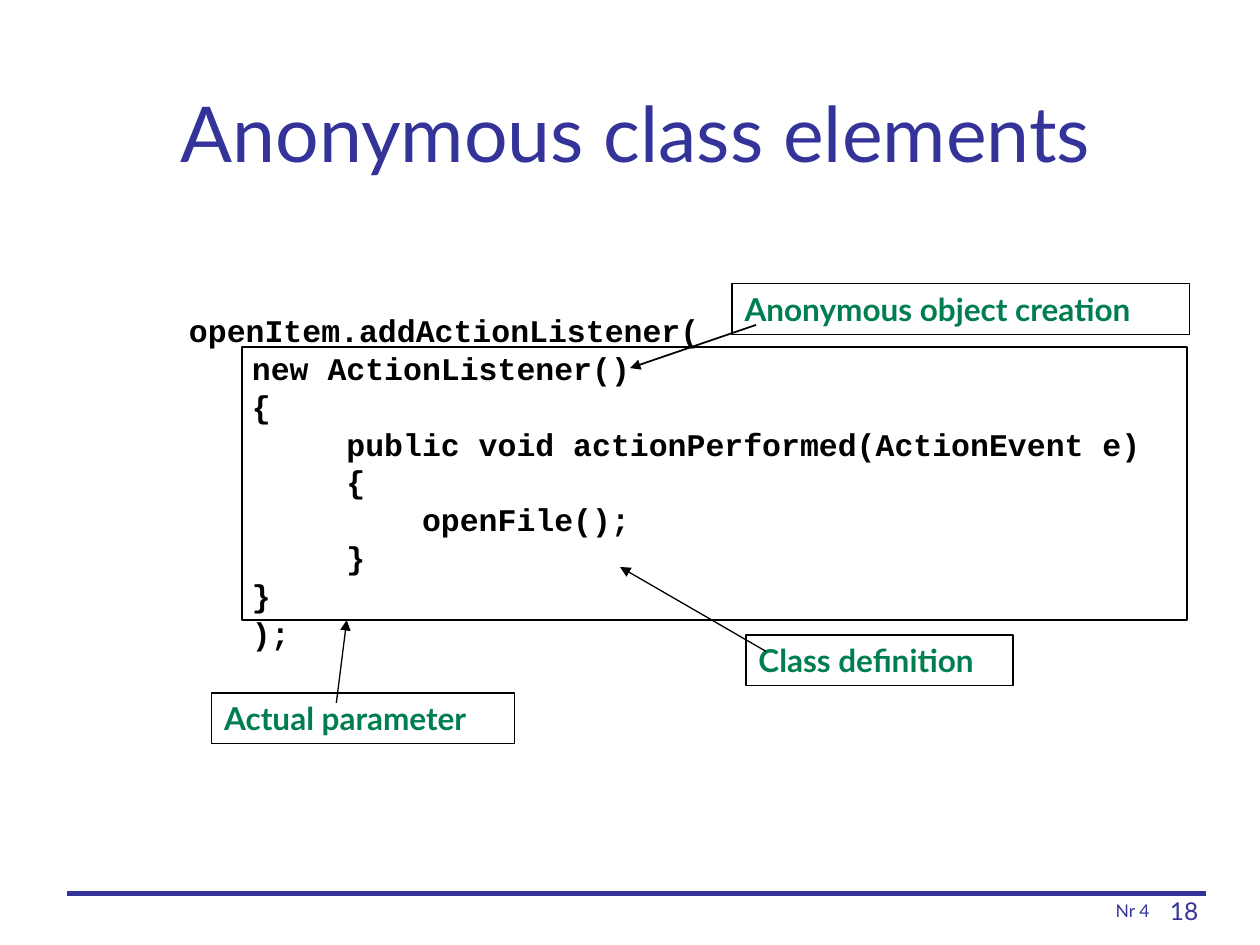
import pptx
import pptx.util
import pptx.dml.color
import pptx.enum.shapes
import pptx.enum.text
import pptx.oxml
import pptx.oxml.ns

Cm, Pt = pptx.util.Cm, pptx.util.Pt
ALIGN = pptx.enum.text.PP_ALIGN
ANCHOR = pptx.enum.text.MSO_ANCHOR
RECT = pptx.enum.shapes.MSO_SHAPE.RECTANGLE
COLORS = {"navy": "333399", "green": "007E4F", "black": "000000"}
CHAR_WIDTH = 0.381  # one Courier New character at 18 pt, in cm

# (indent in characters, text)
CODE = [
    (0, "openItem.addActionListener("),
    (3.33, "new ActionListener()"),
    (3.33, "{"),
    (8.33, "public void actionPerformed(ActionEvent e)"),
    (8.33, "{"),
    (12.33, "openFile();"),
    (8.33, "}"),
    (3.33, "}"),
    (3.33, ");"),
]

# text, box, arrow start relative to box, arrow end relative to box, arrow width
CALLOUTS = [
    ("Anonymous object creation", (14.76, 5.72, 9.22, 1.02), (0.48, 0.83), (-2.06, 1.7), 1),
    ("Actual parameter", (4.27, 13.97, 6.1, 1.02), (2.51, 0.2), (2.72, -1.47), 0.75),
    ("Class definition", (15.04, 12.8, 5.38, 1.02), (0.4, 0.33), (-2.54, -1.37), 0.75),
]


def rgb(name):
    return pptx.dml.color.RGBColor.from_string(COLORS[name])


def format_runs(p, font, size, color, bold=False, align=ALIGN.LEFT):
    p.alignment = align
    for r in p.runs:
        r.font.name, r.font.size, r.font.bold = font, Pt(size), bold
        r.font.color.rgb = rgb(color)


def add_text(s, box, text, anchor=ANCHOR.TOP, **style):
    tf = s.shapes.add_textbox(*map(Cm, box)).text_frame
    tf.word_wrap = True
    tf.vertical_anchor = anchor
    tf.text = text
    format_runs(tf.paragraphs[0], **style)


def add_frame(s, box, width):
    """Add an unfilled rectangle with a black outline."""
    sp = s.shapes.add_shape(RECT, *map(Cm, box))
    sp.shadow.inherit = False
    sp.fill.background()
    sp.line.color.rgb = rgb("black")
    sp.line.width = Pt(width)
    return sp


def add_line(s, start, end, color, width, arrow=False):
    straight = pptx.enum.shapes.MSO_CONNECTOR.STRAIGHT
    line = s.shapes.add_connector(straight, *map(Cm, (*start, *end)))
    line.line.color.rgb = rgb(color)
    line.line.width = Pt(width)
    if arrow:
        ln = line.line._get_or_add_ln()
        ln.append(pptx.oxml.parse_xml(
            f'<a:tailEnd {pptx.oxml.ns.nsdecls("a")} type="triangle"/>'))
    line._element.spPr.append(pptx.oxml.parse_xml(
        f'<a:effectLst {pptx.oxml.ns.nsdecls("a")}/>'))


def set_title(s, box, text):
    sp = s.shapes.title
    sp.left, sp.top, sp.width, sp.height = map(Cm, box)
    tf = sp.text_frame
    tf.text = text
    tf.vertical_anchor = ANCHOR.MIDDLE
    format_runs(tf.paragraphs[0], "Lato", 44, "navy", align=ALIGN.CENTER)


def add_code(s, box):
    """Add the listing and the frame around the anonymous class."""
    tf = s.shapes.add_textbox(*map(Cm, box)).text_frame
    tf.word_wrap = True
    tf.margin_right = 0
    for i, (indent, text) in enumerate(CODE):
        p = tf.add_paragraph() if i else tf.paragraphs[0]
        p.text = text
        format_runs(p, "Courier New", 18, "black", bold=True)
        pPr = p._p.get_or_add_pPr()
        pPr.set("marL", str(int(Cm(indent * CHAR_WIDTH))))
        pPr.set("indent", "0")
    x, y = box[:2]
    add_frame(s, (x + 1.32, y + 0.84, 19.05, 5.51), 1)


def add_callout(s, text, box, start, end, width):
    """Add a boxed label with an arrow pointing into the code."""
    tf = add_frame(s, box, 0.75).text_frame
    tf.word_wrap = True
    tf.vertical_anchor = ANCHOR.TOP
    tf.text = text
    format_runs(tf.paragraphs[0], "Lato", 18, "green", bold=True)
    x, y = box[:2]
    add_line(s, (x + start[0], y + start[1]), (x + end[0], y + end[1]),
             "black", width, arrow=True)


def add_footer(s, box):
    x, y, w, h = box
    style = dict(font="Lato", color="navy", align=ALIGN.RIGHT)
    add_line(s, (x, y), (x + w, y), "navy", 3)
    add_text(s, (x + w - 1.25, y - 0.08, 1.35, h), "18", size=14, **style)
    add_text(s, (x + w - 5.41, y - 0.08, 4.52, 0.76), "Nr 4",
             anchor=ANCHOR.BOTTOM, size=10, **style)


def main():
    prs = pptx.Presentation()
    prs.slide_width, prs.slide_height = Cm(25.4), Cm(19.05)
    s = prs.slides.add_slide(prs.slide_layouts[5])
    add_footer(s, (1.35, 18.01, 22.96, 0.84))
    set_title(s, (1.3, 1.07, 23.04, 3.18), "Anonymous class elements")
    add_code(s, (3.56, 6.15, 19.9, 7.11))
    for callout in CALLOUTS:
        add_callout(s, *callout)
    prs.save("out.pptx")


if __name__ == "__main__":
    main()
